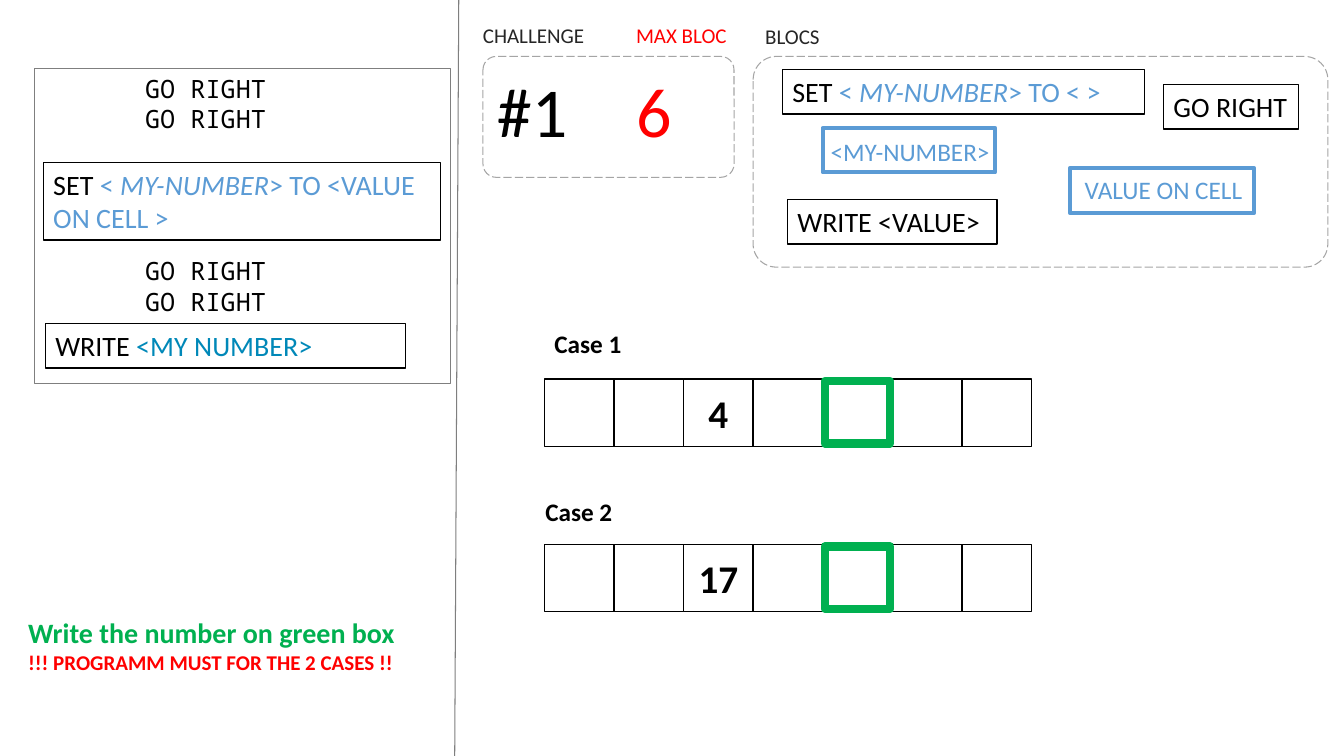
from dataclasses import dataclass

from lxml import etree
from pptx import Presentation
from pptx.dml.color import RGBColor
from pptx.enum.dml import MSO_LINE
from pptx.enum.shapes import MSO_CONNECTOR, MSO_SHAPE
from pptx.enum.text import MSO_ANCHOR, PP_ALIGN
from pptx.oxml.ns import qn
from pptx.util import Pt

RECT, ROUND = MSO_SHAPE.RECTANGLE, MSO_SHAPE.ROUNDED_RECTANGLE
LEFT, CENTER = PP_ALIGN.LEFT, PP_ALIGN.CENTER
TOP, MIDDLE = MSO_ANCHOR.TOP, MSO_ANCHOR.MIDDLE
DASH = MSO_LINE.LONG_DASH
LINE = MSO_CONNECTOR.STRAIGHT
PX = 9144


@dataclass(frozen=True)
class Theme:
    font: str = "Calibri"
    mono: str = "Noto Sans Mono"
    black: str = "000000"
    white: str = "FFFFFF"
    dark: str = "262626"
    gray: str = "7F7F7F"
    pale: str = "A5A5A5"
    blue: str = "5B9BD5"
    teal: str = "0088B8"
    red: str = "FF0000"
    green: str = "00B050"
    huge: int = 50
    cell: int = 28
    block: int = 20
    body: int = 18
    label: int = 15


T = Theme()

DIVIDER = (455, 0, 451, 750)
PANEL = (34, 68, 413, 313)
CODE = ["GO RIGHT"] * 4
CODE_GAPS = {2: 87}
CARDS = [(479, 56, 249, 120), (747, 56, 570, 209)]
FRAMES = [(816, 127, 171, 44), (1061, 167, 183, 44)]

SET = [("SET ", T.black), ("< ", T.blue), ("MY-NUMBER", T.blue, True)]
BLOCKS = [
    ((1154, 84, 134, 44), [("GO RIGHT", T.black)], False),
    ((776, 69, 359, 44), SET + [("> TO < >", T.blue)], True),
    ((781, 198, 208, 44), [("WRITE <VALUE>", T.black)], True),
    ((43, 161, 394, 77), SET + [("> TO <VALUE ON CELL >", T.blue)], True),
    ((45, 321, 357, 44),
     [("WRITE ", T.black), ("<MY NUMBER>", T.teal)], True),
]

LABELS = [
    ((483, 62, 91, 94), "#1", T.huge, T.black, False, True),
    ((621, 62, 91, 94), "6", T.huge, T.red, False, True),
    ((749, 18, 75, 35), "BLOCS", T.label, T.dark, False, True),
    ((621, 17, 111, 35), "MAX BLOC", T.label, T.red, False, True),
    ((469, 17, 122, 35), "CHALLENGE", T.label, T.dark, False, True),
    ((814, 130, 181, 40), "<MY-NUMBER>", T.body, T.blue, False, False),
    ((1066, 168, 178, 40), "VALUE ON CELL", T.body, T.blue, False, False),
    ((540, 321, 104, 40), "Case 1", T.body, T.black, True, True),
    ((531, 487, 104, 40), "Case 2", T.body, T.black, True, True),
]

GOAL = (18, 606, 407, 69)
GOAL_LINES = [
    ("Write the number on green box", T.block, T.green),
    ("!!! PROGRAMM MUST FOR THE 2 CASES !!", T.label, T.red),
]

CASES = [(376, "4"), (540, "17")]
GRID_X, CELL_W, CELL_H = 540, 69, 67
COUNT, GIVEN, TARGET = 7, 2, 4


def emu(box):
    return [n * PX for n in box]


def rgb(code):
    return RGBColor.from_string(code)


def shape(home, box, line, width, fill=T.white, kind=RECT, dash=None):
    item = home.add_shape(kind, *emu(box))
    item.shadow.inherit = False
    if fill:
        item.fill.solid()
        item.fill.fore_color.rgb = rgb(fill)
    else:
        item.fill.background()
    item.line.color.rgb = rgb(line)
    item.line.width = Pt(width)
    if dash:
        item.line.dash_style = dash
    return item


def write(item, runs, size=T.block, bold=False, font=T.font, align=LEFT,
          anchor=TOP, wrap=True, first=True, before=0, indent=0):
    frame = item.text_frame
    frame.word_wrap = wrap
    frame.vertical_anchor = anchor
    para = frame.paragraphs[0] if first else frame.add_paragraph()
    para.alignment = align
    if before:
        para.space_before = Pt(before)
    if indent:
        para._p.get_or_add_pPr().set("marL", str(indent * PX))
    for text, color, *slant in runs:
        run = para.add_run()
        run.text = text
        run.font.name = font
        run.font.size = Pt(size)
        run.font.bold = bold
        run.font.italic = bool(slant)
        run.font.color.rgb = rgb(color)


def divide(home):
    rule = home.add_connector(LINE, *emu(DIVIDER))
    rule.line.color.rgb = rgb(T.gray)
    rule.line.width = Pt(0.75)
    etree.SubElement(rule._element.spPr, qn("a:effectLst"))


def panel(home):
    item = shape(home, PANEL, T.gray, 0.75, fill=None)
    for i, text in enumerate(CODE):
        write(item, [(text, T.black)], size=T.body, font=T.mono,
              first=i == 0, before=CODE_GAPS.get(i, 0), indent=100)


def case(home, top, value):
    row = home.add_group_shape().shapes
    for i in range(COUNT):
        box = (GRID_X + i * CELL_W, top, CELL_W, CELL_H)
        item = shape(row, box, T.black, 1)
        if i == GIVEN:
            write(item, [(value, T.black)], size=T.cell, bold=True,
                  align=CENTER, anchor=MIDDLE)
    left = GRID_X + TARGET * CELL_W + 2
    shape(row, (left, top + 2, CELL_W - 4, CELL_H - 5), T.green, 6, fill=None)


def main():
    deck = Presentation()
    deck.slide_width, deck.slide_height = emu((1333, 750))
    home = deck.slides.add_slide(deck.slide_layouts[6]).shapes
    divide(home)
    panel(home)
    for box in CARDS:
        card = shape(home, box, T.pale, 0.75, kind=ROUND, dash=DASH)
        card.adjustments[0] = 0.11
    for box in FRAMES:
        shape(home, box, T.blue, 3)
    for box, runs, wrap in BLOCKS:
        write(shape(home, box, T.black, 1), runs, wrap=wrap)
    for box, text, size, color, bold, wrap in LABELS:
        write(home.add_textbox(*emu(box)), [(text, color)], size=size,
              bold=bold, wrap=wrap)
    goal = home.add_textbox(*emu(GOAL))
    for i, (text, size, color) in enumerate(GOAL_LINES):
        write(goal, [(text, color)], size=size, bold=True, first=i == 0)
    for top, value in CASES:
        case(home, top, value)
    deck.save("out.pptx")


if __name__ == "__main__":
    main()
